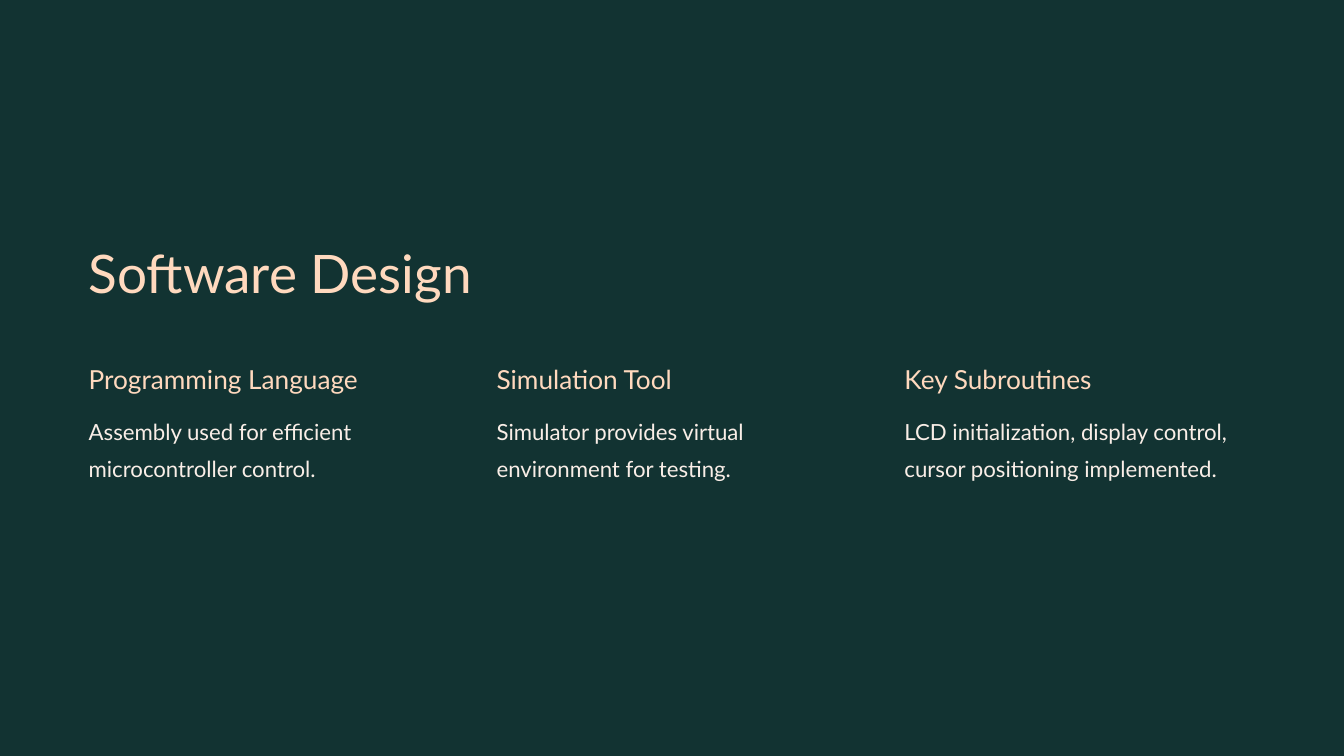
from pptx import Presentation
from pptx.dml.color import RGBColor
from pptx.enum.shapes import MSO_SHAPE
from pptx.util import Inches, Pt

COLORS = {"background": "123332", "heading": "FFD9BE", "body": "F9EEE7"}
SLIDE_WIDTH, SLIDE_HEIGHT = 20, 11.25
LEFT_MARGIN = 1.32
COLUMN_PITCH = 6.07
COLUMN_WIDTH = 5.23

COLUMNS = [
    ("Programming Language", "Assembly used for efficient microcontroller control."),
    ("Simulation Tool", "Simulator provides virtual environment for testing."),
    ("Key Subroutines", "LCD initialization, display control, cursor positioning implemented."),
]


class SlideBuilder:
    font_name = "Lato"

    def __init__(self, slide):
        self.slide = slide

    def rectangle(self, left, top, width, height, color):
        shape = self.slide.shapes.add_shape(
            MSO_SHAPE.RECTANGLE, Inches(left), Inches(top), Inches(width), Inches(height))
        shape.shadow.inherit = False
        shape.fill.solid()
        shape.fill.fore_color.rgb = RGBColor.from_string(COLORS[color])
        shape.line.fill.background()

    def text(self, left, top, width, height, content, size, line_spacing, color):
        """Add a text box without insets; size and line spacing are in points."""
        box = self.slide.shapes.add_textbox(
            Inches(left), Inches(top), Inches(width), Inches(height))
        frame = box.text_frame
        frame.word_wrap = True
        frame.margin_left = frame.margin_top = frame.margin_right = frame.margin_bottom = 0
        paragraph = frame.paragraphs[0]
        paragraph.line_spacing = Pt(line_spacing)
        run = paragraph.add_run()
        run.text = content
        run.font.name = self.font_name
        run.font.size = Pt(size)
        run.font.color.rgb = RGBColor.from_string(COLORS[color])


def main():
    presentation = Presentation()
    presentation.slide_width = Inches(SLIDE_WIDTH)
    presentation.slide_height = Inches(SLIDE_HEIGHT)
    slide = presentation.slides.add_slide(presentation.slide_layouts[6])
    builder = SlideBuilder(slide)

    builder.rectangle(0, 0, SLIDE_WIDTH, SLIDE_HEIGHT, "background")
    builder.text(LEFT_MARGIN, 3.53, 7.94, 1.07, "Software Design", 56.9, 71.2, "heading")
    for index, (heading, body) in enumerate(COLUMNS):
        left = LEFT_MARGIN + index * COLUMN_PITCH
        builder.text(left, 5.38, COLUMN_WIDTH, 0.55, heading, 28.1, 35.6, "heading")
        builder.text(left, 6.09, COLUMN_WIDTH, 1.26, body, 23.8, 38.8, "body")

    presentation.save("out.pptx")


if __name__ == "__main__":
    main()
